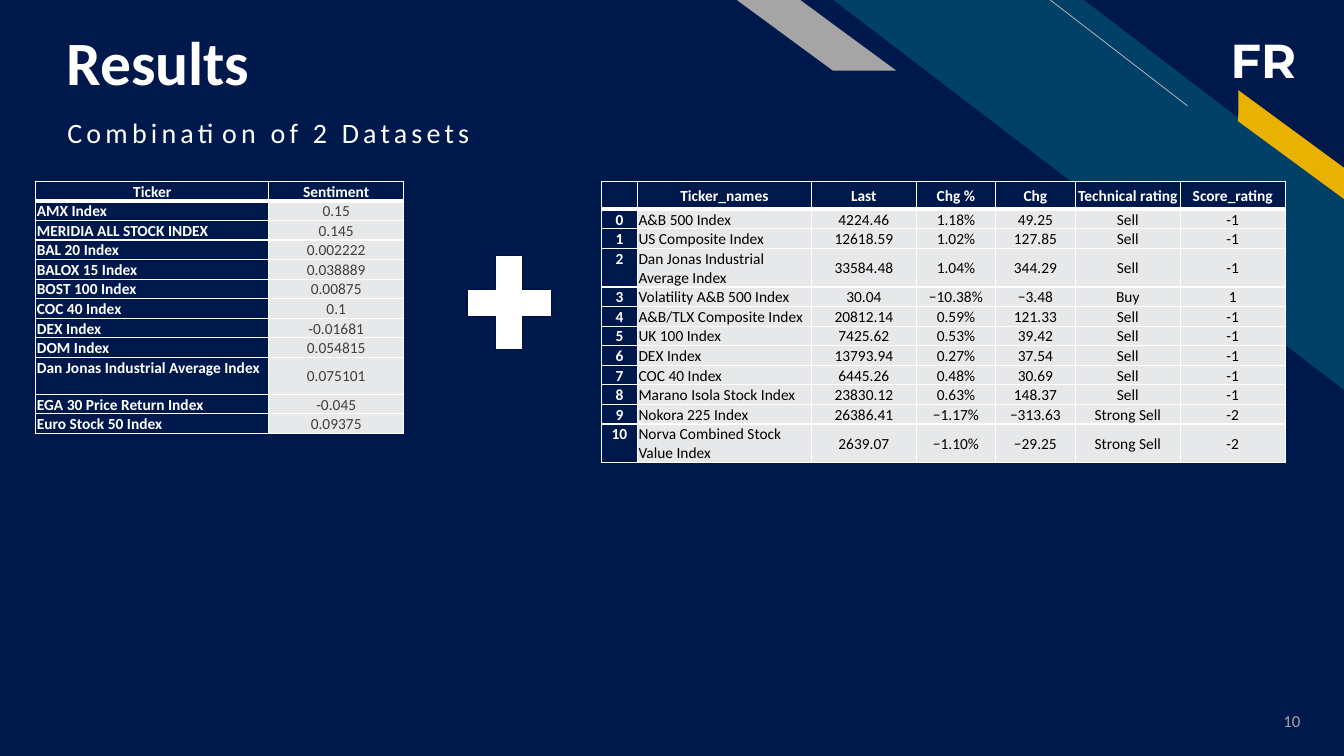
from dataclasses import dataclass

from lxml.etree import SubElement
from pptx import Presentation
from pptx.dml.color import RGBColor
from pptx.enum.shapes import MSO_CONNECTOR, MSO_SHAPE
from pptx.enum.text import MSO_ANCHOR, PP_ALIGN
from pptx.oxml.ns import qn
from pptx.util import Pt

NAVY, WHITE, TEAL, GOLD = "00194C", "FFFFFF", "014067", "EAB200"
GREY, PALE_GREY, LINE_GREY = "A5A5A5", "E7E8E9", "BFBFBF"
DARK_TEXT, BLACK, PLUS_EDGE = "3F3F3F", "000000", "001238"
LEFT, CENTER, RIGHT = PP_ALIGN.LEFT, PP_ALIGN.CENTER, PP_ALIGN.RIGHT
TOP, MIDDLE, BOTTOM = MSO_ANCHOR.TOP, MSO_ANCHOR.MIDDLE, MSO_ANCHOR.BOTTOM
ROW_HEIGHT, CELL_INSET = 14, 0.72


@dataclass
class Ornament:
    kind: MSO_SHAPE
    box: tuple[float, float, float, float]
    fill: str
    adjustment: float | None = None
    rotation: float = 0
    edge: str | None = None


@dataclass
class Label:
    text: str
    box: tuple[float, float, float, float]
    size: float
    color: str = WHITE
    font: str = "Calibri"
    bold: bool = False
    align: PP_ALIGN = LEFT
    anchor: MSO_ANCHOR = TOP
    line_spacing: float = 1.0
    letter_spacing: float = 0
    wrap: bool = True
    bottom_inset: float = 3.6


@dataclass
class DataTable:
    left: float
    top: float
    widths: list[float]
    header_height: float
    tall_rows: dict[int, float]
    alignments: list[PP_ALIGN]
    header_anchor: MSO_ANCHOR
    text_color: str
    rows: list[tuple[str, ...]]


ORNAMENTS = [
    Ornament(MSO_SHAPE.DIAGONAL_STRIPE, (595.3, 0, 365, 278.6), TEAL, 0.51),
    Ornament(MSO_SHAPE.PARALLELOGRAM, (869, 94.3, 106.6, 18), GOLD, 0.72, 36.3),
    Ornament(MSO_SHAPE.PARALLELOGRAM, (526.3, 0, 113.8, 50.4), GREY, 1.36),
]
PLUS = Ornament(MSO_SHAPE.MATH_PLUS, (322.6, 170.6, 82, 91.4), WHITE, edge=PLUS_EDGE)

LABELS = [
    Label("FR", (872, 18.7, 64, 48.2), 34, font="Montserrat", bold=True, wrap=False),
    Label("10", (877.7, 500.4, 58.3, 28.8), 12, GREY, align=RIGHT, anchor=MIDDLE),
    Label("Results", (40.3, 18.7, 656, 51.8), 44, bold=True, anchor=BOTTOM,
          line_spacing=0.9, bottom_inset=0),
    Label("Combination of 2 Datasets", (41, 81.4, 632.9, 36.7), 20,
          line_spacing=0.9, letter_spacing=3),
]

SENTIMENT = DataTable(
    25.6, 129.5, [166.4, 96.4], ROW_HEIGHT, {9: 26.4}, [LEFT, CENTER], TOP, DARK_TEXT,
    [
        ("Ticker", "Sentiment"),
        ("AMX Index", "0.15"),
        ("MERIDIA ALL STOCK INDEX", "0.145"),
        ("BAL 20 Index", "0.002222"),
        ("BALOX 15 Index", "0.038889"),
        ("BOST 100 Index", "0.00875"),
        ("COC 40 Index", "0.1"),
        ("DEX Index", "-0.01681"),
        ("DOM Index", "0.054815"),
        ("Dan Jonas Industrial Average Index", "0.075101"),
        ("EGA 30 Price Return Index", "-0.045"),
        ("Euro Stock 50 Index", "0.09375"),
    ],
)
RATINGS = DataTable(
    429.6, 129.5, [25.8, 124.2, 75, 56.6, 57, 75, 75], 20, {3: 27.6, 11: 27.6},
    [CENTER, LEFT] + [CENTER] * 5, MIDDLE, BLACK,
    [
        ("", "Ticker_names", "Last", "Chg %", "Chg", "Technical rating", "Score_rating"),
        ("0", "A&B 500 Index", "4224.46", "1.18%", "49.25", "Sell", "-1"),
        ("1", "US Composite Index", "12618.59", "1.02%", "127.85", "Sell", "-1"),
        ("2", "Dan Jonas Industrial Average Index", "33584.48", "1.04%", "344.29", "Sell", "-1"),
        ("3", "Volatility A&B 500 Index", "30.04", "−10.38%", "−3.48", "Buy", "1"),
        ("4", "A&B/TLX Composite Index", "20812.14", "0.59%", "121.33", "Sell", "-1"),
        ("5", "UK 100 Index", "7425.62", "0.53%", "39.42", "Sell", "-1"),
        ("6", "DEX Index", "13793.94", "0.27%", "37.54", "Sell", "-1"),
        ("7", "COC 40 Index", "6445.26", "0.48%", "30.69", "Sell", "-1"),
        ("8", "Marano Isola Stock Index", "23830.12", "0.63%", "148.37", "Sell", "-1"),
        ("9", "Nokora 225 Index", "26386.41", "−1.17%", "−313.63", "Strong Sell", "-2"),
        ("10", "Norva Combined Stock Value Index", "2639.07", "−1.10%", "−29.25",
         "Strong Sell", "-2"),
    ],
)


def paint(target, color: str) -> None:
    target.solid()
    target.fore_color.rgb = RGBColor.from_string(color)


def style_font(font, size: float, color: str, bold: bool, name: str = "Calibri") -> None:
    font.size, font.bold, font.name = Pt(size), bold, name
    paint(font.fill, color)


def draw_ornament(slide, ornament: Ornament) -> None:
    shape = slide.shapes.add_shape(ornament.kind, *map(Pt, ornament.box))
    shape.shadow.inherit = False
    shape.rotation = ornament.rotation
    shape._element.spPr.find(qn("a:xfrm")).set("flipH", "1")
    if ornament.adjustment is not None:
        shape.adjustments[0] = ornament.adjustment
    paint(shape.fill, ornament.fill)
    if ornament.edge:
        paint(shape.line.fill, ornament.edge)
        shape.line.width = Pt(1)
    else:
        shape.line.fill.background()


def draw_thin_line(slide) -> None:
    line = slide.shapes.add_connector(
        MSO_CONNECTOR.STRAIGHT, Pt(848.2), Pt(75.6), Pt(750.2), Pt(0))
    paint(line.line.fill, LINE_GREY)
    line.line.width = Pt(0.5)
    SubElement(line._element.spPr, qn("a:effectLst"))


def draw_label(slide, label: Label) -> None:
    frame = slide.shapes.add_textbox(*map(Pt, label.box)).text_frame
    frame.word_wrap = label.wrap
    frame.vertical_anchor = label.anchor
    frame.margin_bottom = Pt(label.bottom_inset)
    paragraph = frame.paragraphs[0]
    paragraph.alignment = label.align
    paragraph.line_spacing = label.line_spacing
    run = paragraph.add_run()
    run.text = label.text
    style_font(paragraph.font, label.size, label.color, label.bold, label.font)
    if label.letter_spacing:
        run.font._element.set("spc", str(round(label.letter_spacing * 100)))


def add_borders(cell, is_header: bool) -> None:
    widths = {"lnL": 1, "lnR": 1, "lnT": 1, "lnB": 3 if is_header else 1}
    if not is_header:
        del widths["lnT"]  # the row above owns the shared edge
    properties = cell._tc.get_or_add_tcPr()
    for side, width in widths.items():
        border = SubElement(properties, qn(f"a:{side}"), w=str(Pt(width)))
        fill = SubElement(border, qn("a:solidFill"))
        SubElement(fill, qn("a:srgbClr"), val=WHITE)


def draw_table(slide, data: DataTable) -> None:
    heights = [data.header_height] + [
        data.tall_rows.get(index, ROW_HEIGHT) for index in range(1, len(data.rows))]
    table = slide.shapes.add_table(
        len(heights), len(data.widths), Pt(data.left), Pt(data.top),
        Pt(sum(data.widths)), Pt(sum(heights))).table
    table.first_row = table.horz_banding = False
    for column, width in zip(table.columns, data.widths):
        column.width = Pt(width)
    for row_index, values in enumerate(data.rows):
        table.rows[row_index].height = Pt(heights[row_index])
        for column_index, value in enumerate(values):
            cell = table.cell(row_index, column_index)
            is_header, is_first = row_index == 0, column_index == 0
            is_dark = is_header or is_first
            cell.margin_left = cell.margin_right = cell.margin_top = Pt(CELL_INSET)
            cell.margin_bottom = Pt(0)
            cell.vertical_anchor = MIDDLE
            if is_first:
                cell.vertical_anchor = data.header_anchor if is_header else TOP
            add_borders(cell, is_header)
            paint(cell.fill, NAVY if is_dark else PALE_GREY)
            cell.text = value
            paragraph = cell.text_frame.paragraphs[0]
            paragraph.alignment = CENTER if is_header else data.alignments[column_index]
            style_font(paragraph.font, 11, WHITE if is_dark else data.text_color, is_dark)


def main() -> None:
    presentation = Presentation()
    presentation.slide_width, presentation.slide_height = Pt(960), Pt(540)
    slide = presentation.slides.add_slide(presentation.slide_layouts[6])
    paint(slide.background.fill, NAVY)
    # Corner decoration
    for ornament in ORNAMENTS:
        draw_ornament(slide, ornament)
    draw_thin_line(slide)
    # Headings, initials and page number
    for label in LABELS:
        draw_label(slide, label)
    # The two datasets and the plus sign between them
    for data in (SENTIMENT, RATINGS):
        draw_table(slide, data)
    draw_ornament(slide, PLUS)
    presentation.save("out.pptx")


if __name__ == "__main__":
    main()
